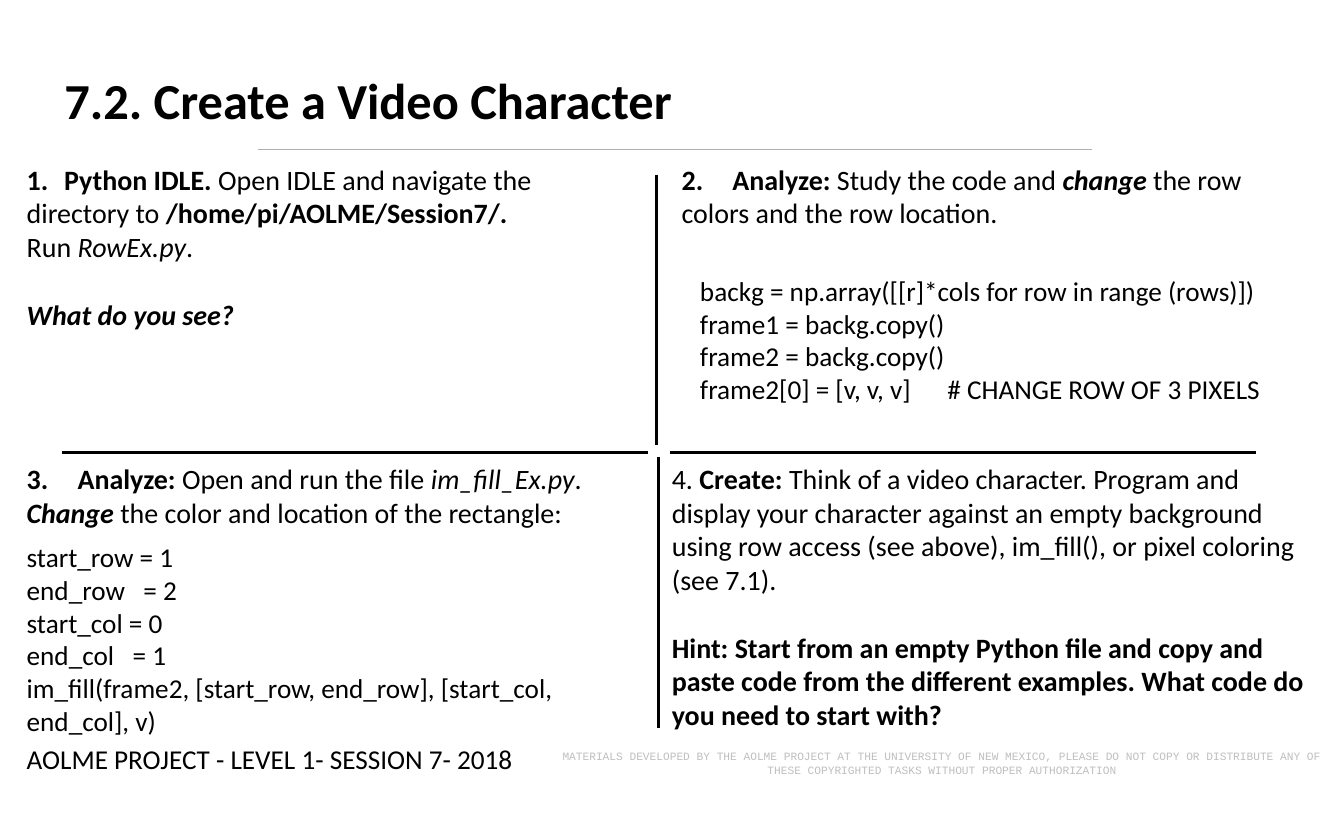
from pptx import Presentation
from pptx.dml.color import RGBColor
from pptx.enum.shapes import MSO_CONNECTOR
from pptx.enum.text import MSO_ANCHOR, PP_ALIGN
from pptx.oxml.ns import qn
from pptx.util import Inches, Pt
from lxml import etree

STRAIGHT = MSO_CONNECTOR.STRAIGHT
TOP, MIDDLE = MSO_ANCHOR.TOP, MSO_ANCHOR.MIDDLE
LEFT, CENTER = PP_ALIGN.LEFT, PP_ALIGN.CENTER

BLACK = RGBColor(0x00, 0x00, 0x00)
GRAY = RGBColor(0xBF, 0xBF, 0xBF)
RULE_GRAY = RGBColor(0xB0, 0xB0, 0xB0)

BODY, CODE = 21, 20.4
LEFT_COL, RIGHT_COL = 0.18, 6.98
TOP_ROW, BOTTOM_ROW = 1.64, 4.76
MID_Y = 4.71
DIVIDER_LENGTH = 2.82


def add_rule(slide, start, end, color=BLACK, weight=2.25):
    """Draw a straight line without a shadow."""
    rule = slide.shapes.add_connector(
        STRAIGHT, *(Inches(value) for value in (*start, *end)))
    rule.line.color.rgb = color
    rule.line.width = Pt(weight)
    etree.SubElement(rule._element.spPr, qn("a:effectLst"))


def number_paragraph(paragraph, number, indent):
    """Give a paragraph an automatic number and a hanging indent."""
    properties = paragraph._p.get_or_add_pPr()
    properties.set("marL", str(Inches(indent)))
    properties.set("indent", str(-Inches(indent)))
    etree.SubElement(properties, qn("a:buAutoNum"),
                     type="arabicPeriod", startAt=str(number))


def add_runs(paragraph, runs, size, font="Calibri", color=BLACK):
    """Add (text, style) runs; a style holds b for bold and i for italic."""
    for text, style in runs:
        run = paragraph.add_run()
        run.text = text
        run.font.name = font
        run.font.size = Pt(size)
        run.font.color.rgb = color
        run.font.bold = "b" in style
        run.font.italic = "i" in style


def add_text(slide, left, top, width, height, wrap=True):
    box = slide.shapes.add_textbox(
        *(Inches(value) for value in (left, top, width, height)))
    box.text_frame.word_wrap = wrap
    return box.text_frame


def add_task(slide, position, lines, number=None, indent=0.53):
    """Write one task; each line is (runs, size, space before)."""
    frame = add_text(slide, *position)
    for index, (runs, size, gap) in enumerate(lines):
        paragraph = frame.paragraphs[0] if index == 0 else frame.add_paragraph()
        if index == 0 and number:
            number_paragraph(paragraph, number, indent)
        if gap:
            paragraph.space_before = Pt(gap)
        add_runs(paragraph, runs, size)
    return frame


def code_lines(lines, gap):
    """Turn code into task lines, with a gap above the first."""
    return [([(line, "")], CODE, 0 if index else gap)
            for index, line in enumerate(lines)]


def add_title(slide, text):
    title = slide.shapes.title
    title.left, title.top = Inches(0.57), Inches(0.67)
    title.width, title.height = Inches(12.47), Inches(0.74)
    title.text_frame.vertical_anchor = TOP
    paragraph = title.text_frame.paragraphs[0]
    paragraph.alignment = LEFT
    add_runs(paragraph, [(text, "b")], 37.8)


def add_dividers(slide):
    for left in (0.65, RIGHT_COL):
        add_rule(slide, (left, MID_Y), (left + 6.1, MID_Y))
    for x, top in ((6.84, 1.82), (6.86, BOTTOM_ROW)):
        add_rule(slide, (x, top), (x, top + DIVIDER_LENGTH))
    add_rule(slide, (2.69, 1.56), (11.38, 1.56), RULE_GRAY, 1)


def add_tasks(slide):
    # Task 1: run the first example
    add_task(slide, (LEFT_COL, TOP_ROW, 7.03, 1.87), [
        ([("Python IDLE. ", "b"), ("Open IDLE and navigate the", "")], BODY, 0),
        ([("directory to ", ""), ("/home/pi/AOLME/Session7/.", "b")], BODY, 0),
        ([("Run ", ""), ("RowEx.py", "i"), (".", "")], BODY, 0),
        ([("What do you see?", "bi")], BODY, 25.6),
    ], number=1, indent=0.39)

    # Task 2: change a row
    task = add_task(slide, (RIGHT_COL, TOP_ROW, 6.47, 2.99), [
        ([("Analyze: ", "b"), ("Study the code and ", ""),
          ("change", "bi"), (" the row", "")], BODY, 0),
        ([("colors and the row location.", "")], BODY, 0),
        *code_lines([
            "   backg = np.array([[r]*cols for row in range (rows)])",
            "   frame1 = backg.copy()",
            "   frame2 = backg.copy()",
            "   frame2[0] = [v, v, v]      # CHANGE ROW OF 3 PIXELS",
        ], 33.8),
    ], number=2)
    task.margin_left = Inches(0.12)

    # Task 3: change a rectangle
    add_task(slide, (LEFT_COL, BOTTOM_ROW, 6.67, 2.99), [
        ([("Analyze: ", "b"), ("Open and run the file ", ""),
          ("im_fill_Ex.py", "i"), (".", "")], BODY, 0),
        ([("Change", "bi"),
          (" the color and location of the rectangle:", "")], BODY, 0),
        *code_lines([
            "start_row = 1",
            "end_row   = 2",
            "start_col = 0",
            "end_col   = 1",
            "im_fill(frame2, [start_row, end_row], [start_col, end_col], v)",
        ], 8.9),
    ], number=3)

    # Task 4: create a character
    add_task(slide, (6.9, BOTTOM_ROW, 6.97, 2.93), [
        ([("4. ", ""), ("Create: ", "b"),
          ("Think of a video character. Program and display your character "
           "against an empty background using row access (see above), "
           "im_fill(), or pixel coloring (see 7.1).", "")], BODY, 0),
        ([("Hint: Start from an empty Python file and copy and paste code "
           "from the different examples. What code do you need to start "
           "with?", "b")], BODY, 25.6),
    ])


def add_footer(slide):
    project = add_text(slide, LEFT_COL, 7.68, 5.4, 0.44, wrap=False)
    add_runs(project.paragraphs[0],
             [("AOLME PROJECT - LEVEL 1- SESSION 7- 2018", "")], CODE)

    notice = add_text(slide, 5.66, 7.75, 8.31, 0.4)
    notice.vertical_anchor = MIDDLE
    notice.paragraphs[0].alignment = CENTER
    add_runs(notice.paragraphs[0], [(
        "MATERIALS DEVELOPED BY THE AOLME PROJECT AT THE UNIVERSITY OF NEW "
        "MEXICO, PLEASE DO NOT COPY OR DISTRIBUTE ANY OF THESE COPYRIGHTED "
        "TASKS WITHOUT PROPER AUTHORIZATION", "")], 8.4, "Courier New", GRAY)


def main():
    deck = Presentation()
    deck.slide_width, deck.slide_height = Inches(14), Inches(8.5)
    slide = deck.slides.add_slide(deck.slide_layouts.get_by_name("Title Only"))
    add_dividers(slide)
    add_title(slide, "7.2. Create a Video Character")
    add_tasks(slide)
    add_footer(slide)
    deck.save("out.pptx")


if __name__ == "__main__":
    main()
